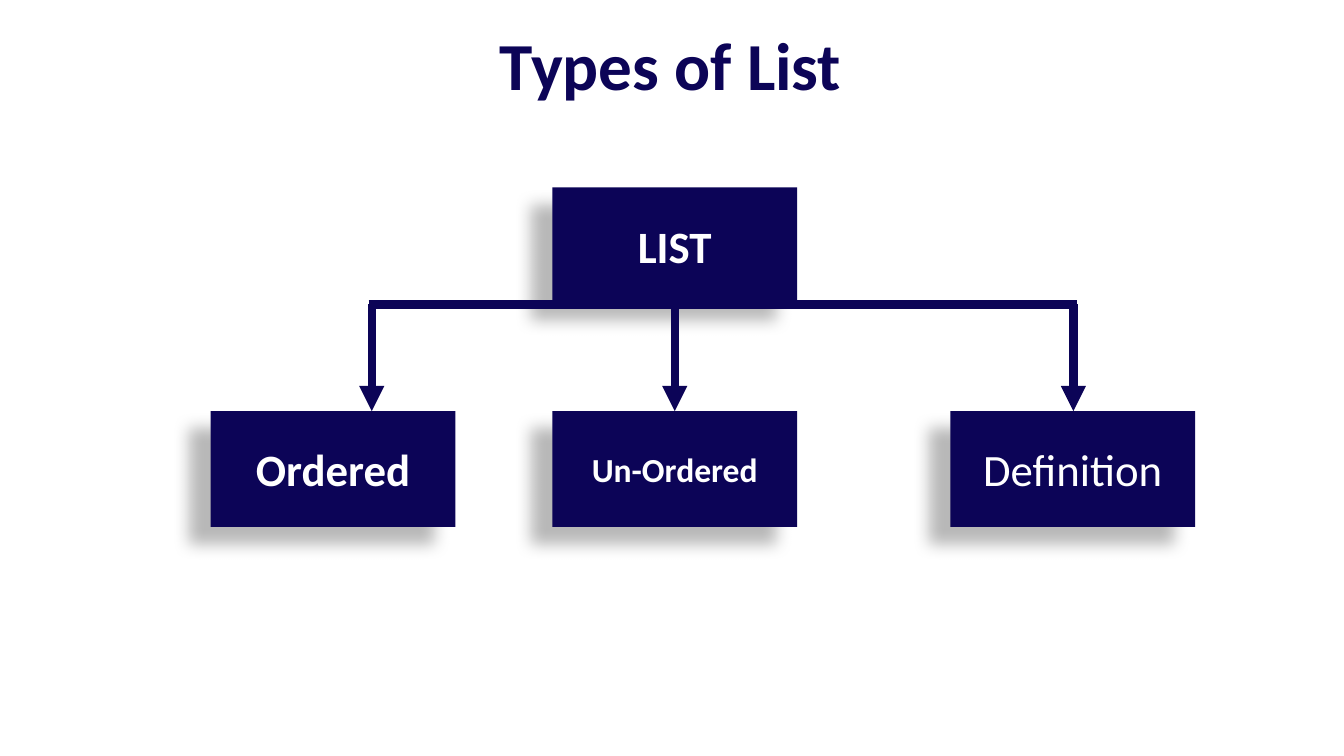
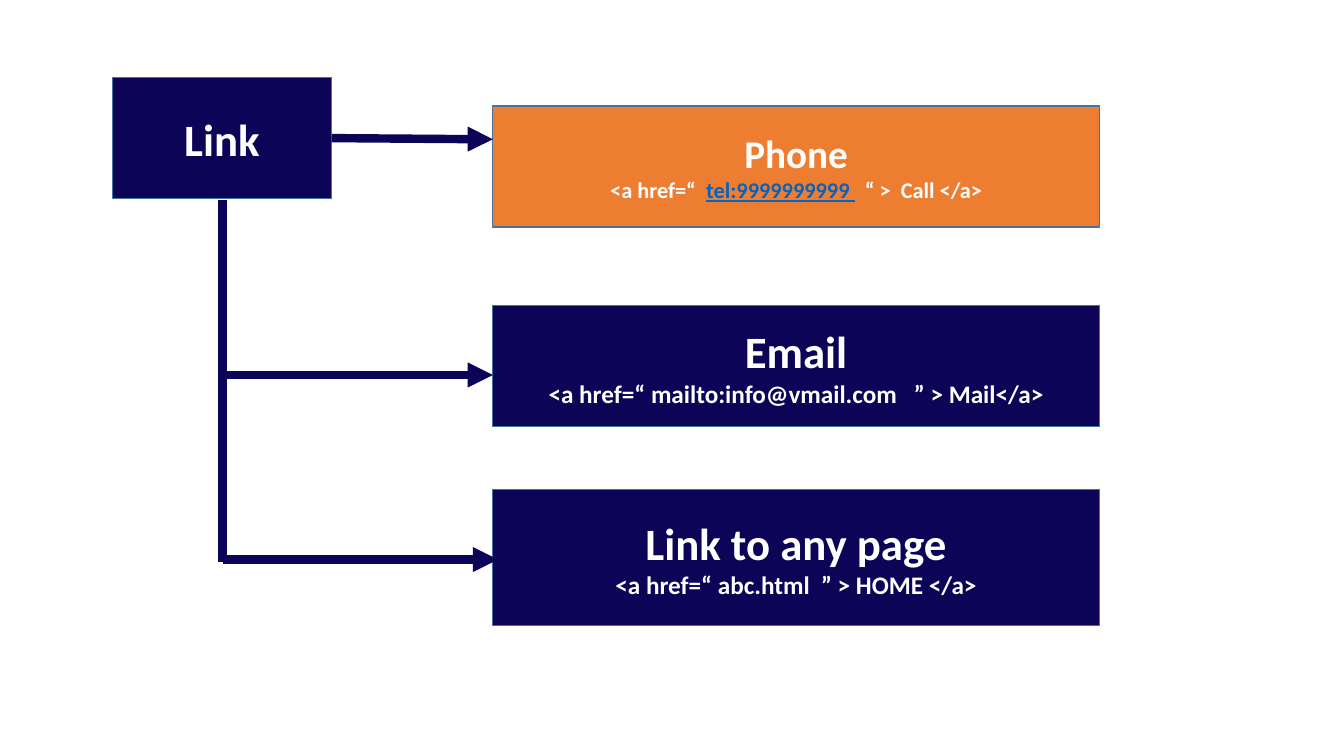
"""Build two slides of diagrams about HTML lists and links."""
from lxml.etree import SubElement
from pptx import Presentation
from pptx.dml.color import RGBColor
from pptx.enum.shapes import MSO_CONNECTOR as Connector, MSO_SHAPE as Shape
from pptx.enum.text import MSO_ANCHOR as Anchor, PP_ALIGN as Align
from pptx.oxml.ns import qn
from pptx.util import Cm, Pt

NAVY, ORANGE, WHITE = "0C0457", "ED7D31", "FFFFFF"
OUTLINE, LINK_BLUE = "43739E", "0563C1"
TITLE_ONLY, BLANK = 5, 6
ARROW_WIDTH = 6


def colour(hex_code):
    """Return the colour for a hex string."""
    return RGBColor.from_string(hex_code)


def add_span(para, text, size, ink=WHITE, **formats):
    """Add one formatted run to a paragraph."""
    span = para.add_run()
    span.text = text
    values = {"name": "Calibri", "size": Pt(size), "bold": True, **formats}
    for name, value in values.items():
        setattr(span.font, name, value)
    span.font.color.rgb = colour(ink)


def fill_text(frame, lines):
    """Write centred lines, each a list of (text, size, ink, formats) spans."""
    frame.word_wrap = True
    frame.vertical_anchor = Anchor.MIDDLE
    for index, spans in enumerate(lines):
        para = frame.add_paragraph() if index else frame.paragraphs[0]
        para.alignment = Align.CENTER
        for text, size, ink, formats in spans:
            add_span(para, text, size, ink, **formats)


def plain(text, size, **formats):
    """Return a line made of a single white span."""
    return [(text, size, WHITE, formats)]


def add_title(page, text):
    """Place and format the title placeholder."""
    title = page.shapes.title
    bounds = {"left": 0.71, "top": 0.46, "width": 32.39, "height": 2.31}
    for name, value in bounds.items():
        setattr(title, name, Cm(value))
    fill_text(title.text_frame, [[(text, 48, NAVY, {})]])


def add_box(page, bounds, lines, fill=NAVY, outline=None):
    """Add a filled rectangle holding centred lines."""
    box = page.shapes.add_shape(Shape.RECTANGLE, *map(Cm, bounds))
    box.shadow.inherit = False
    box.fill.solid()
    box.fill.fore_color.rgb = colour(fill)
    if outline:
        box.line.color.rgb = colour(outline)
        box.line.width = Pt(1)
    else:
        box.line.fill.background()
    fill_text(box.text_frame, lines)
    return box


def cast_shadow(box):
    """Give a box a soft shadow towards the lower left."""
    effects = box.element.spPr.find(qn("a:effectLst"))
    shadow = SubElement(effects, qn("a:outerShdw"), blurRad=str(Pt(11.8)),
                        dist=str(Pt(19.7)), dir=str(141 * 60000),
                        algn="ctr", rotWithShape="0")
    black = SubElement(shadow, qn("a:srgbClr"), val="000000")
    SubElement(black, qn("a:alpha"), val="28000")


def add_line(page, start, end, arrow=True):
    """Add a thick straight line, with an arrowhead at its end if wanted."""
    line = page.shapes.add_connector(Connector.STRAIGHT, *map(Cm, start + end))
    line.line.color.rgb = colour(NAVY)
    line.line.width = Pt(ARROW_WIDTH)
    if arrow:
        SubElement(line.line._get_or_add_ln(), qn("a:tailEnd"), type="triangle")
    SubElement(line.element.spPr, qn("a:effectLst"))


def build_list_page(deck):
    """Show the three types of list as a tree."""
    page = deck.slides.add_slide(deck.slide_layouts[TITLE_ONLY])
    add_title(page, "Types of List")
    width, height = 6.17, 2.92
    root_left, root_top, child_top = 13.92, 4.72, 10.36
    bar_top, overhang = 7.67, 0.08
    boxes = [
        (root_left, root_top, plain("LIST", 32)),
        (5.31, child_top, plain("Ordered", 32)),
        (root_left, child_top, plain("Un-Ordered", 24)),
        (23.95, child_top, plain("Definition", 32, bold=False)),
    ]
    for left, top, line in boxes:
        cast_shadow(add_box(page, (left, top, width, height), [line]))
    arrow_lefts = [9.37, root_left + width / 2, 27.05]
    for left in arrow_lefts:
        add_line(page, (left, bar_top), (left, child_top))
    add_line(page, (arrow_lefts[0] - overhang, bar_top),
             (arrow_lefts[-1] + overhang, bar_top), arrow=False)


def build_link_page(deck):
    """Show the three kinds of link branching from one box."""
    page = deck.slides.add_slide(deck.slide_layouts[BLANK])
    card_left, card_width, trunk = 12.42, 15.29, 5.61
    phone_code = [
        ("<a href=“  ", 16, WHITE, {}),
        ("tel:9999999999 ", 16, LINK_BLUE, {"underline": True}),
        ("  “ >  Call </a>", 16, WHITE, {}),
    ]
    email_code = plain("<a href=“ mailto:info@vmail.com   ” > Mail</a>", 18)
    page_code = plain("<a href=“ abc.html  ” > HOME </a>", 18)
    cards = [
        (2.67, 3.05, ORANGE, [plain("Phone", 28), phone_code]),
        (7.7, 3.05, NAVY, [plain("Email", 32), email_code]),
        (12.34, 3.43, NAVY, [plain("Link to any page", 32), page_code]),
    ]
    add_box(page, (2.84, 1.96, 5.51, 3.05), [plain("Link", 32)], outline=OUTLINE)
    for top, height, fill, lines in cards:
        add_box(page, (card_left, top, card_width, height), lines, fill, OUTLINE)
    arrows = [
        ((8.36, 3.48), (card_left, 3.51)),
        ((trunk, 9.45), (card_left, 9.45)),
        ((trunk, 14.1), (12.55, 14.1)),
    ]
    for start, end in arrows:
        add_line(page, start, end)
    add_line(page, (trunk, 5.03), (trunk, 14.17), arrow=False)


def main():
    """Build and save the deck."""
    deck = Presentation()
    deck.slide_width, deck.slide_height = Cm(33.87), Cm(19.05)
    build_list_page(deck)
    build_link_page(deck)
    deck.save("out.pptx")


if __name__ == "__main__":
    main()
